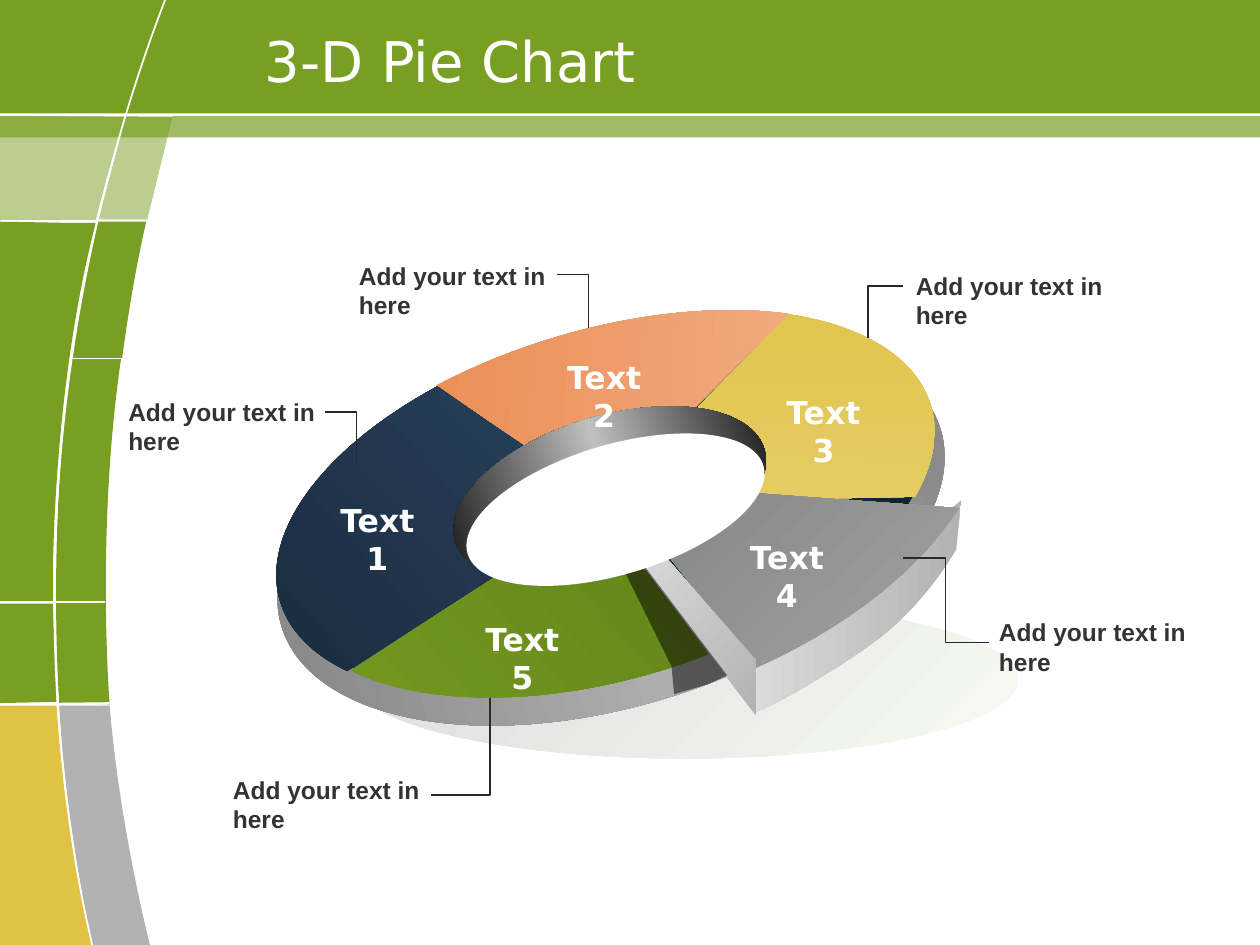
from math import cos, radians, sin, tan

from lxml import etree
from pptx import Presentation
from pptx.dml.color import RGBColor
from pptx.enum.shapes import MSO_CONNECTOR, MSO_SHAPE
from pptx.enum.text import MSO_ANCHOR, PP_ALIGN
from pptx.oxml.ns import qn
from pptx.util import Inches, Pt

RECT, OVAL = MSO_SHAPE.RECTANGLE, MSO_SHAPE.OVAL
STRAIGHT, ELBOW = MSO_CONNECTOR.STRAIGHT, MSO_CONNECTOR.ELBOW
MIDDLE, TOP = MSO_ANCHOR.MIDDLE, MSO_ANCHOR.TOP
LEFT, CENTER = PP_ALIGN.LEFT, PP_ALIGN.CENTER

WIDE, HIGH = 10, 7.5
THEME = dict(
    green="789F21", gold="E0C244", gray="B2B2B2", white="FFFFFF",
    black="000000", ink="333333", rule="292929",
    head="DejaVu Sans", body="Arial", title=32, label=18, note=14,
)
GREEN, GOLD, GRAY = THEME["green"], THEME["gold"], THEME["gray"]
WHITE, BLACK = THEME["white"], THEME["black"]

# Outlines are a start point, then line ends (x, y) or curves (6 numbers).
# Side panels: colour, opacity in percent, outline
PANELS = [
    (GREEN, 100, [(0.77, 1.76), (0.77, 1.76, 0.97, 1.76, 1.16, 1.76),
                  (1.04, 2.28, 0.97, 2.84, 0.97, 2.84), (0.97, 2.84, 0.77, 2.84, 0.57, 2.84),
                  (0.64, 2.29, 0.77, 1.76, 0.77, 1.76)]),
    (GREEN, 100, [(0.57, 2.85), (0.76, 2.85, 0.96, 2.85, 0.96, 2.85),
                  (0.76, 4.22, 0.87, 5.59, 0.87, 5.59), (0.47, 5.58),
                  (0.47, 5.58, 0.37, 4.19, 0.57, 2.85)]),
    (GOLD, 100, [(0, 5.6), (0.45, 5.6), (0.45, 5.6, 0.51, 6.58, 0.73, 7.5),
                 (0.36, 7.5, 0, 7.5, 0, 7.5)]),
    (GRAY, 100, [(0.47, 5.6), (0.67, 5.6, 0.87, 5.6, 0.87, 5.6),
                 (0.95, 6.57, 1.19, 7.5, 1.19, 7.5), (0.73, 7.5),
                 (0.73, 7.5, 0.52, 6.54, 0.47, 5.6)]),
    (GREEN, 50, [(0, 0.92), (0.99, 0.93), (0.99, 0.93, 0.86, 1.34, 0.76, 1.75),
                 (0.38, 1.75, 0, 1.75, 0, 1.75)]),
    (GREEN, 50, [(1, 0.92), (1.37, 0.92), (1.17, 1.74), (0.78, 1.74)]),
    (GREEN, 100, [(0, 1.76), (0.71, 1.77, 0.37, 1.77, 0.76, 1.77),
                  (0.39, 3.21, 0.42, 4.77, 0.42, 4.77), (0, 4.77)]),
    (GREEN, 100, [(0, 4.79), (0.42, 4.79), (0.45, 5.57), (0, 5.58)]),
]
BASE = (0, 1.82, 0.82, 1.83)
RULES = [(0.01, 5.59, 0.87, 5.58), (0, 0.91, 1.37, 0.92),
         (0.01, 1.75, 1.16, 1.75), (0, 4.78, 0.83, 4.78)]
SWEEP = [(1.31, 0), (-0.26, 4.1, 0.76, 7.52, 0.73, 7.5)]

# Ring slices: box of the whole ellipse, start, end, colours, gradient angle
TILT = -16.6
SLICES = [
    ((2.1, 2.61, 5.4, 2.76), -47.5, 28.5, (GOLD, "EAD787"), 107),
    ((2.14, 2.61, 5.35, 2.78), 78, 150.4, (GREEN, "536E16"), 335),
    ((2.1, 2.62, 5.39, 2.67), -112.2, -47.5, ("F2B995", "E9803F"), 200),
    ((2.11, 2.62, 5.41, 2.76), -209.6, -112.2, ("182738", "35567B"), 335),
]
RIM = [(5.98, 5.3), (7.63, 3.97), (7.59, 4.36), (7.49, 4.53, 7.29, 4.81, 7.02, 5.03),
       (6.76, 5.24, 6.16, 5.6, 5.99, 5.65), (5.96, 5.53, 5.98, 5.3, 5.98, 5.3)]
PULLED = ((1.75, 2.05, 6.2, 3.56), 33.5, 77.3, (GRAY, "525252"), 243)
CUT = [(6, 5.24), (6, 5.68), (5.03, 4.39), (5.17, 4.29)]
SHADE = [(4.95, 4.52), (5.33, 5.29), (5.35, 5.51), (5.62, 5.43), (5.77, 5.36), (5.12, 4.5)]

LABELS = [("Text1", 2.55, 3.93), ("Text2", 4.35, 2.79), ("Text3", 6.09, 3.07),
          ("Text4", 5.8, 4.22), ("Text5", 3.7, 4.87)]
NOTE = "Add your text in here"
# Note corner, then its leader from and to, and the bend share if it has two bends
NOTES = [
    ((7.17, 2.1), (7.17, 2.27, 6.89, 2.68), None),
    ((0.92, 3.1), (2.58, 3.27, 2.83, 3.68), None),
    ((2.75, 2.02), (4.42, 2.18, 4.67, 2.6), None),
    ((7.83, 4.85), (7.85, 5.1, 7.17, 4.43), 0.51),
    ((1.75, 6.1), (3.42, 6.31, 3.89, 5.54), None),
]

deck = Presentation()
deck.slide_width, deck.slide_height = Inches(WIDE), Inches(HIGH)
slide = deck.slides.add_slide(deck.slide_layouts[6])
shapes = slide.shapes


def rgb(code):
    return RGBColor.from_string(code)


def paint(shape, color, alpha=100, angle=0):
    """Fill with one colour, or with a clockwise gradient if given several."""
    shape.shadow.inherit = False
    shape.line.fill.background()
    if isinstance(color, str):
        shape.fill.solid()
        shape.fill.fore_color.rgb = rgb(color)
        if alpha < 100:
            tone = shape._element.spPr.find(".//" + qn("a:srgbClr"))
            etree.SubElement(tone, qn("a:alpha"), val=str(alpha * 1000))
        return
    shape.fill.gradient()
    shape.fill.gradient_angle = (360 - angle) % 360
    stops = shape._element.spPr.find(".//" + qn("a:gsLst"))
    for stop in list(stops):
        stops.remove(stop)
    for i, code in enumerate(color):
        stop = etree.SubElement(stops, qn("a:gs"), pos=str(100000 * i // (len(color) - 1)))
        etree.SubElement(stop, qn("a:srgbClr"), val=code)


def block(kind, box, color, alpha=100, angle=0, turn=0):
    shape = shapes.add_shape(kind, *map(Inches, box))
    shape.rotation = turn
    paint(shape, color, alpha, angle)


def outline(route, close=True, frame=()):
    """Draw an outline with true curves; frame corners only widen its box."""
    flat = [(p[i], p[i + 1]) for p in route for i in range(0, len(p), 2)]
    pts = [(Inches(x), Inches(y)) for x, y in flat + list(frame)]
    form = shapes.build_freeform(*pts[0], scale=1.0)
    form.add_line_segments(pts[1:], close=close)
    shape = form.convert_to_shape()
    geom = shape._element.spPr.find(".//" + qn("a:path"))
    nodes = iter(geom.findall(qn("a:lnTo")))
    for part in route[1:]:
        node = next(nodes)
        if len(part) == 6:
            node.addprevious(etree.Element(qn("a:cubicBezTo")))
            curve = node.getprevious()
            for item in (node, next(nodes), next(nodes)):
                curve.append(item[0])
                geom.remove(item)
    for item in nodes:
        geom.remove(item)
    return shape


def sector(box, start, end, color, angle):
    """A slice of the ellipse in the box, tilted about the box centre."""
    x, y, w, h = box
    a, b = w / 2, h / 2

    def spot(t, k=0):
        return (x + a + a * (cos(t) - k * sin(t)), y + b + b * (sin(t) + k * cos(t)))

    cuts = [start, *(q for q in range(-180, 181, 90) if start < q < end), end]
    cuts = [radians(c) for c in cuts]
    route = [(x + a, y + b), spot(cuts[0])]
    for s, e in zip(cuts, cuts[1:]):
        k = 4 / 3 * tan((e - s) / 4)
        route.append(spot(s, k) + spot(e, -k) + spot(e))
    shape = outline(route, frame=[(x, y), (x + w, y + h)])
    shape.rotation = TILT
    paint(shape, color, angle=angle)


def join(kind, ends, color, width):
    line = shapes.add_connector(kind, *map(Inches, ends))
    line.line.color.rgb = rgb(color)
    line.line.width = Pt(width)
    etree.SubElement(line._element.spPr, qn("a:effectLst"))
    return line


def leader(ends, bend):
    geom = join(ELBOW, ends, THEME["rule"], 0.75)._element.spPr.find(qn("a:prstGeom"))
    if bend is None:
        geom.set("prst", "bentConnector2")
        return
    guides = geom.find(qn("a:avLst"))
    if guides is None:
        guides = etree.SubElement(geom, qn("a:avLst"))
    etree.SubElement(guides, qn("a:gd"), name="adj1", fmla=f"val {round(bend * 100000)}")


def write(text, box, font, size, color, bold=True, align=LEFT, anchor=TOP):
    frame = shapes.add_textbox(*map(Inches, box)).text_frame
    frame.word_wrap = True
    frame.vertical_anchor = anchor
    para = frame.paragraphs[0]
    para.alignment = align
    run = para.add_run()
    run.text = text
    run.font.name, run.font.size, run.font.bold = font, Pt(size), bold
    run.font.color.rgb = rgb(color)


block(RECT, (0, 0.92, WIDE, 0.17), GREEN, 70)
block(RECT, (0, 0, WIDE, 0.9), GREEN)
block(RECT, (6.54, 7.29, 3.29, 0.12), WHITE)
join(STRAIGHT, BASE, WHITE, 1)
for color, alpha, route in PANELS:
    paint(outline(route), color, alpha)
for ends in RULES:
    join(STRAIGHT, ends, WHITE, 1)
curve = outline(SWEEP, close=False)
curve.shadow.inherit = False
curve.fill.background()
curve.line.color.rgb = rgb(WHITE)
curve.line.width = Pt(1)

block(OVAL, (2.81, 4.77, 5.27, 1.25), ("F7F9F2", "DDDDDD"), angle=225)
block(OVAL, (2.12, 2.77, 5.46, 2.84), ("808080", "ADADAD", "808080"), angle=180, turn=TILT)
block(OVAL, (2.18, 2.62, 5.27, 2.76), (BLACK, "2791BB"), angle=242, turn=TILT)
for item in SLICES:
    sector(*item)
paint(outline(RIM), (GRAY, "DBDBDB"), angle=180)
sector(*PULLED)
paint(outline(CUT), (GRAY, "DBDBDB"), angle=225)
block(OVAL, (3.56, 3.3, 2.56, 1.26), (BLACK, "C0C0C0", BLACK), angle=180, turn=TILT)
for text, x, y in LABELS:
    write(text, (x, y, 0.89, 0.4), THEME["head"], THEME["label"], WHITE, align=CENTER)
paint(outline(SHADE), BLACK, 50)
block(OVAL, (3.66, 3.53, 2.45, 1.03), WHITE, turn=TILT)

write("3-D Pie Chart", (2, 0.17, 7.08, 0.62), THEME["head"], THEME["title"], WHITE,
      bold=False, anchor=MIDDLE)
for (x, y), ends, bend in NOTES:
    write(NOTE, (x, y, 2, 0.57), THEME["body"], THEME["note"], THEME["ink"])
    leader(ends, bend)

deck.save("out.pptx")
